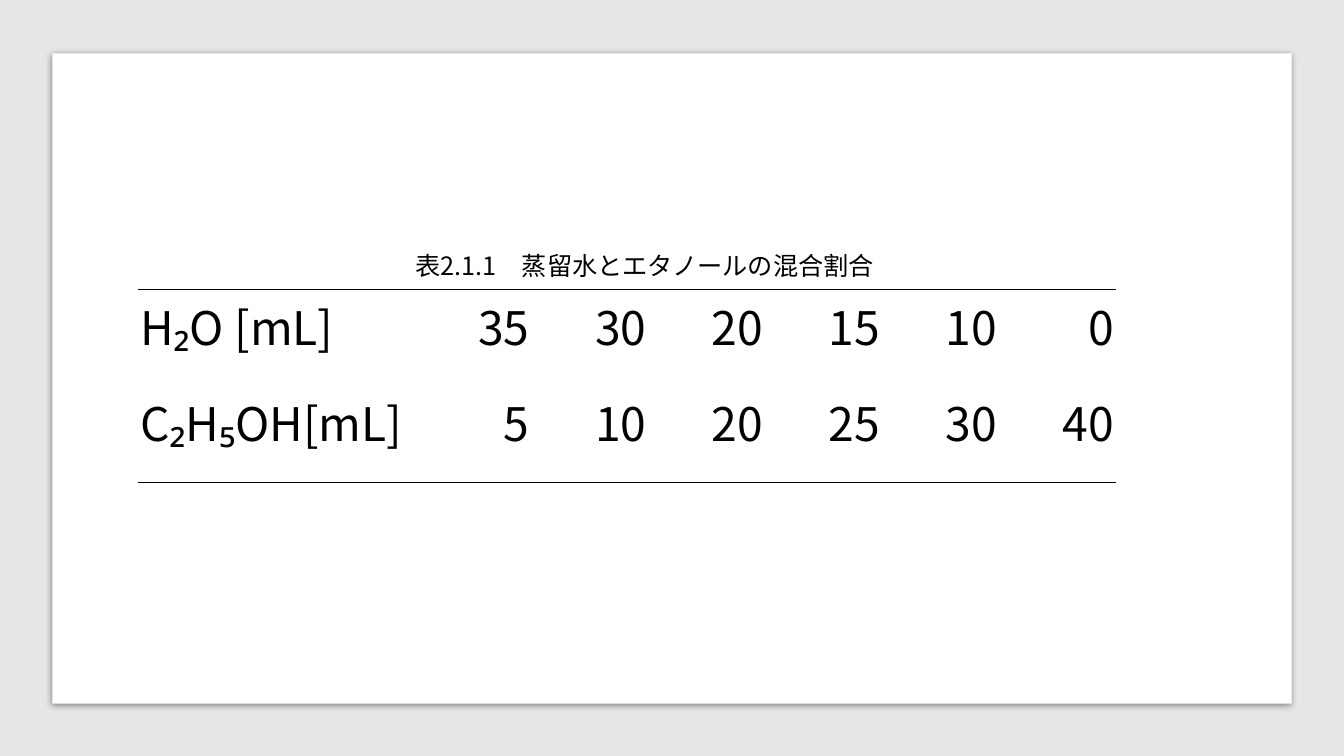
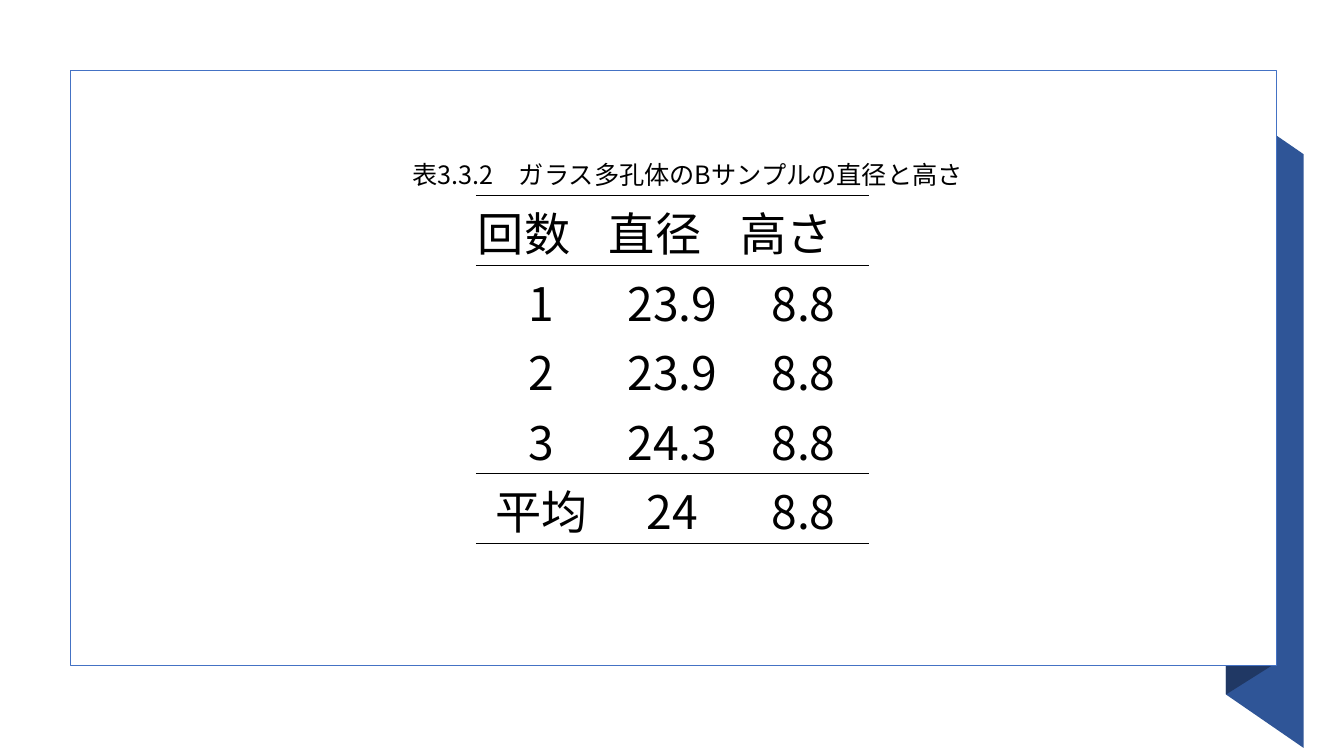
from lxml.etree import SubElement as Sub
from pptx import Presentation
from pptx.dml.color import RGBColor
from pptx.enum.shapes import MSO_SHAPE as Shape
from pptx.enum.text import MSO_ANCHOR as Anchor, MSO_AUTO_SIZE as Fit, PP_ALIGN as Align
from pptx.oxml.ns import qn
from pptx.util import Inches, Pt

BLACK = RGBColor(0x00, 0x00, 0x00)
WHITE = RGBColor(0xFF, 0xFF, 0xFF)
GREY = RGBColor(0xE7, 0xE6, 0xE6)
BLUE = RGBColor(0x44, 0x72, 0xC4)
DEEP = RGBColor(0x2F, 0x55, 0x97)
NAVY = RGBColor(0x20, 0x38, 0x64)
FONT = "Noto Sans CJK JP"
WIDE, HIGH = 13.33, 7.5


def style(par, size, align):
    """Set the shared font on a paragraph, for Latin and Japanese text."""
    par.alignment = align
    font = par.font
    font.size, font.bold, font.name = Pt(size), False, FONT
    font.color.rgb = BLACK
    props = par._p.get_or_add_pPr().find(qn("a:defRPr"))
    Sub(props, qn("a:ea"), typeface=FONT)


def panel(slide, box, fill, line=None):
    """Draw a plain rectangle filling the box."""
    rect = slide.shapes.add_shape(Shape.RECTANGLE, *map(Inches, box))
    rect.shadow.inherit = False
    rect.fill.solid()
    rect.fill.fore_color.rgb = fill
    if line is None:
        rect.line.fill.background()
    else:
        rect.line.color.rgb = line
        rect.line.width = Pt(1)
    return rect


def shade(shape):
    """Give a shape a soft shadow below it."""
    effects = shape._element.spPr.find(qn("a:effectLst"))
    outer = Sub(effects, qn("a:outerShdw"), blurRad=str(Pt(5)), dist=str(Pt(1.4)),
                dir="5400000", algn="t", rotWithShape="0")
    color = Sub(outer, qn("a:srgbClr"), val=str(BLACK))
    Sub(color, qn("a:alpha"), val="43000")


def facet(slide, points, fill):
    """Draw a closed outline through the points."""
    start, *rest = [(Inches(x), Inches(y)) for x, y in points]
    pen = slide.shapes.build_freeform(*start)
    pen.add_line_segments(rest, close=True)
    face = pen.convert_to_shape()
    face.shadow.inherit = False
    face.fill.solid()
    face.fill.fore_color.rgb = fill
    face.line.fill.background()


def fold(slide, box):
    """Draw the ribbon that folds behind the right edge of the box."""
    left, top, width, height = box
    edge, base = left + width, top + height
    inner, outer = edge - 0.5, edge + 0.27
    facet(slide, [(outer, base + 0.82), (inner, base + 0.29),
                  (inner, top + 0.3), (outer, top + 0.83)], DEEP)
    facet(slide, [(edge - 0.04, base), (inner, base + 0.29),
                  (inner, top + 0.3), (edge - 0.04, top)], NAVY)


def border(cell, side, weight):
    """Rule one side of a cell, or clear it when the weight is zero."""
    line = Sub(cell._tc.get_or_add_tcPr(), qn("a:ln" + side), w=str(Pt(weight)))
    if weight:
        fill = Sub(line, qn("a:solidFill"))
        Sub(fill, qn("a:srgbClr"), val=str(BLACK))
    else:
        Sub(line, qn("a:noFill"))


def grid(slide, box, rows, cols, highs, rules, weight, align):
    """Place a ruled table; rules lists the row edges that carry a line."""
    table = slide.shapes.add_table(len(rows), len(cols), *map(Inches, box)).table
    table.first_row = table.horz_banding = False
    for col, width in zip(table.columns, cols):
        col.width = Inches(width)
    for r, (row, high) in enumerate(zip(rows, highs)):
        table.rows[r].height = Inches(high)
        for c, text in enumerate(row):
            cell = table.cell(r, c)
            cell.text = text
            cell.vertical_anchor = Anchor.MIDDLE
            cell.margin_left = cell.margin_right = cell.margin_top = Inches(0.02)
            cell.margin_bottom = 0
            style(cell.text_frame.paragraphs[0], 33, align(r, c))
            edges = {"L": 0, "R": 0, "T": weight * (r in rules),
                     "B": weight * (r + 1 in rules)}
            for side, size in edges.items():
                border(cell, side, size)
            cell.fill.background()


def caption(slide, box, text):
    """Set the title as a centred caption above the other parts."""
    title = slide.shapes.title
    title.left, title.top, title.width, title.height = map(Inches, box)
    frame = title.text_frame
    frame.text = text
    frame.word_wrap = True
    frame.auto_size = Fit.NONE
    frame.vertical_anchor = Anchor.TOP
    style(frame.paragraphs[0], 18, Align.CENTER)
    slide.shapes._spTree.append(title._element)


def mix(slide):
    """Build the slide of mixing ratios."""
    panel(slide, (0, 0, WIDE, HIGH), GREY)
    shade(panel(slide, (0.52, 0.53, 12.29, 6.45), WHITE))
    rows = [("H₂O [mL]", "35", "30", "20", "15", "10", "0"),
            ("C₂H₅OH[mL]", "5", "10", "20", "25", "30", "40")]
    grid(slide, (1.37, 2.87, 9.7, 1.92), rows, [2.74] + [1.16] * 6, [0.69, 1.23],
         {0, 2}, 1, lambda r, c: Align.RIGHT if c else Align.LEFT)
    caption(slide, (2.01, 2.43, 8.77, 0.4), "表2.1.1　蒸留水とエタノールの混合割合")


def sizes(slide):
    """Build the slide of sample diameters and heights."""
    box = (0.7, 0.7, 11.96, 5.9)
    fold(slide, box)
    panel(slide, box, WHITE, BLUE)
    rows = [("回数", "直径", "高さ"), ("1", "23.9", "8.8"), ("2", "23.9", "8.8"),
            ("3", "24.3", "8.8"), ("平均", "24", "8.8")]
    grid(slide, (4.72, 1.94, 3.9, 3.45), rows, [1.3] * 3, [0.69] * 5,
         {0, 1, 4, 5}, 0.5, lambda r, c: Align.CENTER if r else Align.LEFT)
    caption(slide, (3.02, 1.53, 7.6, 0.4), "表3.3.2　ガラス多孔体のBサンプルの直径と高さ")


def main():
    """Build and save the deck."""
    deck = Presentation()
    deck.slide_width, deck.slide_height = Inches(WIDE), Inches(HIGH)
    for build in (mix, sizes):
        build(deck.slides.add_slide(deck.slide_layouts[5]))
    deck.save("out.pptx")


if __name__ == "__main__":
    main()
